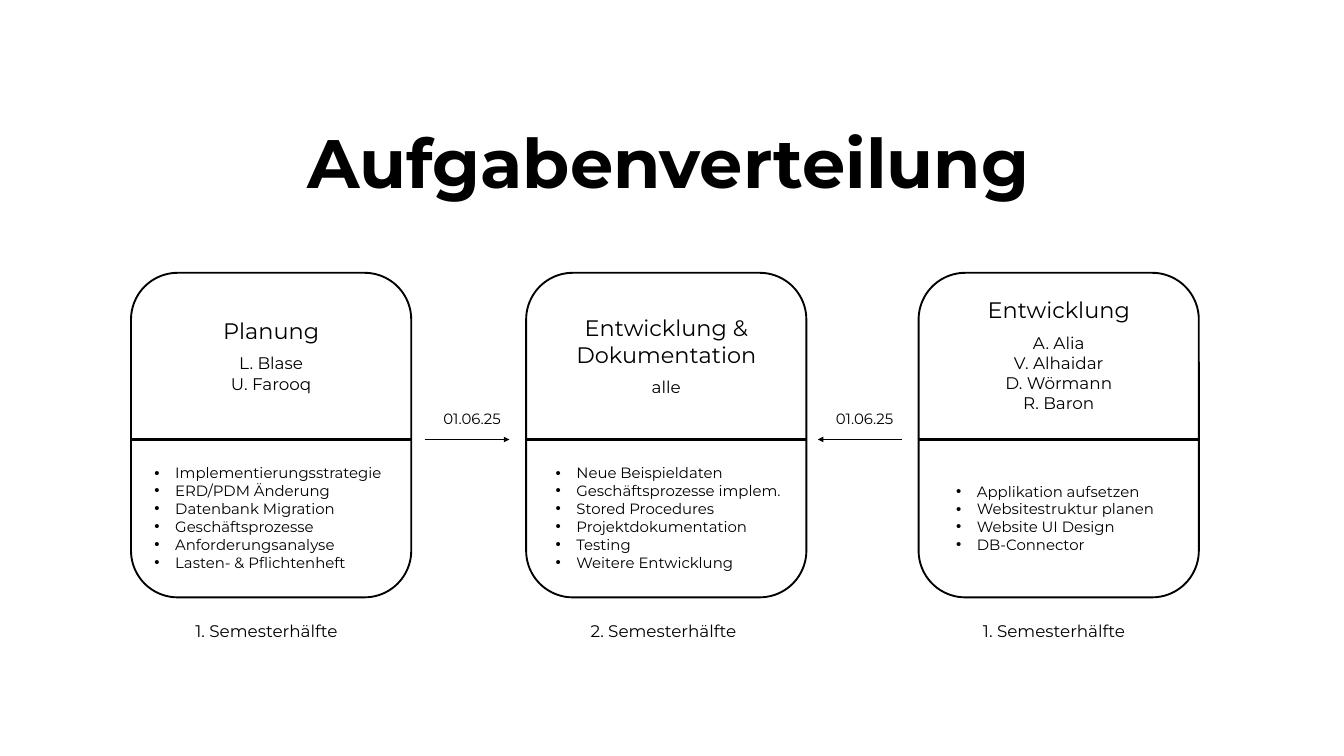
from lxml import etree
from pptx import Presentation
from pptx.dml.color import RGBColor
from pptx.enum import shapes, text
from pptx.oxml import ns
from pptx.util import Inches, Pt

COLORS = {"ink": "000000", "paper": "FFFFFF"}
FONT = "Montserrat"
CARD_TOP, CARD_W, CARD_H = 4.06, 4.17, 4.83
HEAD_H = 2.48
CARDS = [
    (1.95, 0.25, "Planung", 1, ["L. Blase", "U. Farooq"],
     ["Implementierungsstrategie", "ERD/PDM Änderung", "Datenbank Migration",
      "Geschäftsprozesse", "Anforderungsanalyse", "Lasten- & Pflichtenheft"],
     "1. Semesterhälfte"),
    (7.83, 0.34, "Entwicklung & Dokumentation", 2, ["alle"],
     ["Neue Beispieldaten", "Geschäftsprozesse implem.", "Stored Procedures",
      "Projektdokumentation", "Testing", "Weitere Entwicklung"],
     "2. Semesterhälfte"),
    (13.67, 0.46, "Entwicklung", 1,
     ["A. Alia", "V. Alhaidar", "D. Wörmann", "R. Baron"],
     ["Applikation aufsetzen", "Websitestruktur planen", "Website UI Design",
      "DB-Connector"],
     "1. Semesterhälfte"),
]


def color(name):
    return RGBColor.from_string(COLORS[name])


def add_text(s, x, y, w, h, lines, size, align=text.PP_ALIGN.LEFT):
    tf = s.shapes.add_textbox(Inches(x), Inches(y), Inches(w), Inches(h)).text_frame
    tf.word_wrap = True
    tf.vertical_anchor = text.MSO_ANCHOR.TOP
    tf.text = "\n".join(lines)
    for p in tf.paragraphs:
        p.alignment = align
        p.font.name = FONT
        p.font.size = Pt(size)
        p.font.color.rgb = color("ink")
    return tf


def add_line(s, x1, x2, y, width, arrow=False):
    line = s.shapes.add_connector(
        shapes.MSO_CONNECTOR.STRAIGHT, Inches(x1), Inches(y), Inches(x2), Inches(y))
    line.line.color.rgb = color("ink")
    line.line.width = Pt(width)
    if arrow:
        etree.SubElement(line.line._get_or_add_ln(), ns.qn("a:tailEnd"), type="triangle")
    etree.SubElement(line._element.spPr, ns.qn("a:effectLst"))


def add_title(s, x, y, w, h):
    tf = add_text(s, x, y, w, h, ["Aufgabenverteilung"], 73.4)
    tf.margin_left = tf.margin_right = tf.margin_top = tf.margin_bottom = 0
    p = tf.paragraphs[0]
    p.font.bold = True
    p.line_spacing = Pt(102.8)


def add_heading(s, x, middle, w, title, title_lines, names):
    h = 0.24 + 0.4 * title_lines + 0.31 * len(names)
    tf = add_text(s, x, middle - h / 2, w, h, [title] + names, 18, text.PP_ALIGN.CENTER)
    tf.paragraphs[0].font.size = Pt(24)
    tf.paragraphs[1].space_before = Pt(9.75)


def add_tasks(s, x, middle, w, tasks):
    h = 0.1 + 0.27 * len(tasks)
    tf = add_text(s, x, middle - h / 2, w, h, tasks, 16)
    for p in tf.paragraphs:
        pPr = p._p.get_or_add_pPr()
        pPr.set("marL", str(Inches(0.31)))
        pPr.set("indent", str(-Inches(0.31)))
        bullet_font = etree.Element(ns.qn("a:buFont"), typeface="Arial")
        bullet = etree.Element(ns.qn("a:buChar"), char="•")
        pPr.insert(0, bullet_font)
        pPr.insert(1, bullet)


def add_card(s, x, y, w, h, task_inset, title, title_lines, names, tasks, caption):
    sp = s.shapes.add_shape(
        shapes.MSO_SHAPE.ROUNDED_RECTANGLE, Inches(x), Inches(y), Inches(w), Inches(h))
    sp.shadow.inherit = False
    sp.fill.background()
    sp.line.color.rgb = color("ink")
    sp.line.width = Pt(2)
    add_heading(s, x + (w - 3) / 2, y + HEAD_H / 2, 3, title, title_lines, names)
    add_line(s, x, x + w, y + HEAD_H, 3)
    add_tasks(s, x + task_inset, y + (HEAD_H + h) / 2, 3.67, tasks)
    add_text(s, x + 0.86, y + h + 0.3, 2.5, 0.4, [caption], 18)


def add_dated_arrow(s, x, y, w, reverse=False):
    add_text(s, x + 0.17, y - 0.5, 1.21, 0.37, ["01.06.25"], 16)
    start, end = (x + w, x) if reverse else (x, x + w)
    add_line(s, start, end, y, 0.75, arrow=True)


def main():
    prs = Presentation()
    prs.slide_width, prs.slide_height = Inches(20), Inches(11.25)
    s = prs.slides.add_slide(prs.slide_layouts[6])
    s.background.fill.solid()
    s.background.fill.fore_color.rgb = color("paper")
    add_title(s, 4.58, 1.58, 10.84, 1.34)
    for x, *content in CARDS:
        add_card(s, x, CARD_TOP, CARD_W, CARD_H, *content)
    add_dated_arrow(s, 6.33, CARD_TOP + HEAD_H, 1.25)
    add_dated_arrow(s, 12.17, CARD_TOP + HEAD_H, 1.25, reverse=True)
    prs.save("out.pptx")


if __name__ == "__main__":
    main()
